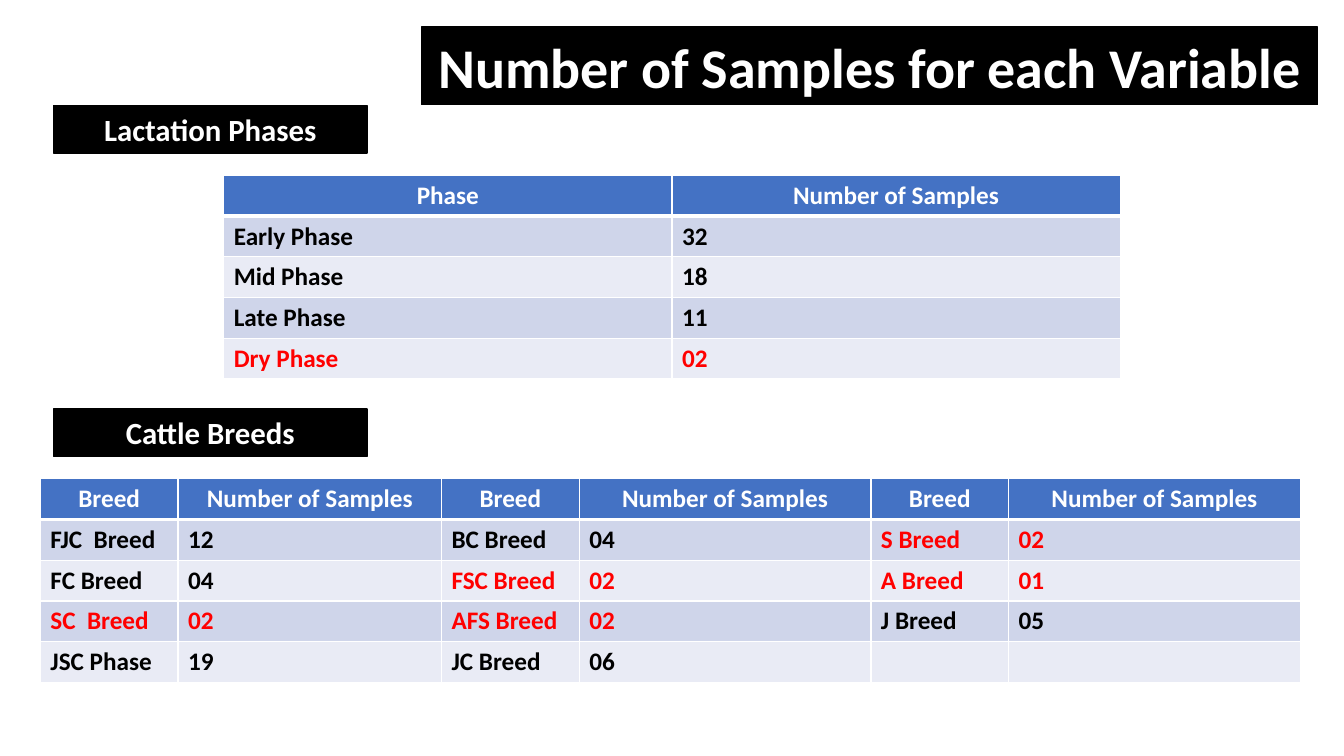
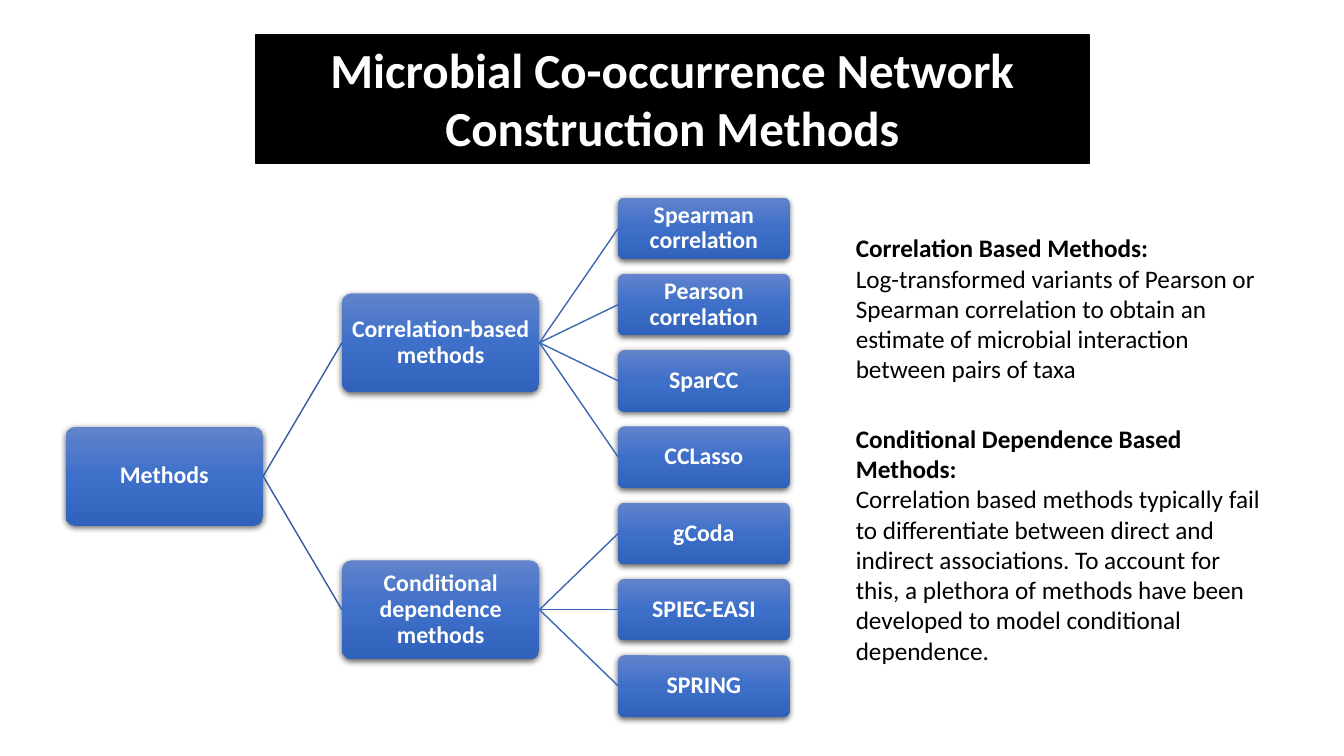
import copy

import lxml.etree
import pptx
import pptx.dml.color
import pptx.enum.shapes
import pptx.enum.text
import pptx.oxml.ns
import pptx.util

SLIDE_WIDTH = pptx.util.Inches(13.33)
SLIDE_HEIGHT = pptx.util.Inches(7.5)
FONT = "Calibri"
BLACK, WHITE, RED = "000000", "FFFFFF", "FF0000"
HEADER_FILL = "4472C4"
BAND_FILLS = ("CFD5EA", "E9EBF5")
NODE_GRADIENT = ("6183CB", "3E70CA", "3062BB")
CENTER = pptx.enum.text.PP_ALIGN.CENTER
MIDDLE = pptx.enum.text.MSO_ANCHOR.MIDDLE

# Tables, as percentages of the slide
ROW_HEIGHT = 5.39
FEW_SAMPLES = 3
PHASES = [("Early Phase", "32"), ("Mid Phase", "18"), ("Late Phase", "11"), ("Dry Phase", "02")]
BREED_TABLES = [
    ((10.25, 19.6), [("FJC  Breed", "12"), ("FC Breed", "04"), ("SC  Breed", "02"), ("JSC Phase", "19")]),
    ((10.25, 21.7), [("BC Breed", "04"), ("FSC Breed", "02"), ("AFS Breed", "02"), ("JC Breed", "06")]),
    ((10.25, 21.7), [("S Breed", "02"), ("A Breed", "01"), ("J Breed", "05"), ("", "")]),
]

# Tree, as percentages of the slide
TREE_LEFT, LEVEL_STEP = 4.88, 20.56
FIRST_LEAF_CENTER, LEAF_STEP = 30.2, 10.09
BRANCH_SIZE, LEAF_SIZE = (14.7, 13.07), (12.75, 8.13)
LINK_COLORS = ("365B9D", "3E67B2")
METHODS = {
    "Correlation-based methods": ["Spearman correlation", "Pearson correlation", "SparCC", "CCLasso"],
    "Conditional dependence methods": ["gCoda", "SPIEC-EASI", "SPRING"],
}

PROSE = [
    (30.13, 21.6, "Correlation Based Methods:",
     "Log-transformed variants of Pearson or Spearman correlation to obtain an estimate of "
     "microbial interaction between pairs of taxa"),
    (55.33, 33.6, "Conditional Dependence Based Methods:",
     "Correlation based methods typically fail to differentiate between direct and indirect "
     "associations. To account for this, a plethora of methods have been developed to model "
     "conditional dependence."),
]


def rgb(value):
    return pptx.dml.color.RGBColor.from_string(value)


def across(percent):
    return round(SLIDE_WIDTH * percent / 100)


def down(percent):
    return round(SLIDE_HEIGHT * percent / 100)


def area(left, top, width, height):
    return across(left), down(top), across(width), down(height)


def mean_of_ends(values):
    return (values[0] + values[-1]) / 2


def add_element(parent, tag, **attributes):
    return lxml.etree.SubElement(parent, pptx.oxml.ns.qn(tag), **attributes)


def format_para(para, size, color, bold=True, align=None):
    para.alignment = align
    for span in para.runs:
        span.font.name = FONT
        span.font.size = pptx.util.Pt(size)
        span.font.bold = bold
        span.font.color.rgb = rgb(color)


def add_box(page, place):
    box = page.shapes.add_textbox(*area(*place))
    box.text_frame.word_wrap = True
    box.text_frame.auto_size = pptx.enum.text.MSO_AUTO_SIZE.SHAPE_TO_FIT_TEXT
    return box


def add_banner(page, text, size, place):
    """White bold text on a black band."""
    box = add_box(page, place)
    box.fill.solid()
    box.fill.fore_color.rgb = rgb(BLACK)
    box.line.color.rgb = rgb(BLACK)
    box.line.width = pptx.util.Pt(1)
    box.text_frame.text = text
    format_para(box.text_frame.paragraphs[0], size, WHITE, align=CENTER)


def add_prose(page, top, height, heading, body):
    frame = add_box(page, (62.94, top, 31.81, height)).text_frame
    frame.text = heading
    format_para(frame.paragraphs[0], 18, BLACK)
    para = frame.add_paragraph()
    para.text = body
    format_para(para, 18, BLACK, bold=False)


def add_borders(cell, bottom_width):
    properties = cell._tc.get_or_add_tcPr()
    for side, width in (("L", 1), ("R", 1), ("T", 1), ("B", bottom_width)):
        line = add_element(properties, "a:ln" + side, w=str(pptx.util.Pt(width)))
        add_element(add_element(line, "a:solidFill"), "a:srgbClr", val=WHITE)


def add_sample_table(page, left, top, widths, subject, samples):
    """Table of sample counts; rows with few samples are red."""
    rows = [(subject, "Number of Samples")] + samples
    place = area(left, top, sum(widths), ROW_HEIGHT * len(rows))
    table = page.shapes.add_table(len(rows), len(widths), *place).table
    for column, width in zip(table.columns, widths):
        column.width = across(width)
    for index, row in enumerate(rows):
        table.rows[index].height = down(ROW_HEIGHT)
        header = index == 0
        if header:
            fill, color = HEADER_FILL, WHITE
        else:
            fill = BAND_FILLS[(index - 1) % 2]
            color = RED if row[1] and int(row[1]) < FEW_SAMPLES else BLACK
        for cell, text in zip(table.rows[index].cells, row):
            add_borders(cell, 3 if header else 1)
            cell.fill.solid()
            cell.fill.fore_color.rgb = rgb(fill)
            cell.text_frame.text = text
            format_para(cell.text_frame.paragraphs[0], 18, color, align=CENTER if header else None)


def fill_gradient(shape, colors):
    """Fill from top to bottom with three evenly spaced colours."""
    shape.fill.gradient()
    shape.fill.gradient_angle = 270
    stop_list = shape._element.spPr.find(".//" + pptx.oxml.ns.qn("a:gsLst"))
    stop_list.insert(1, copy.deepcopy(stop_list[0]))
    for index, (stop, color) in enumerate(zip(shape.fill.gradient_stops, colors)):
        stop.position = index / 2
        stop.color.rgb = rgb(color)


def add_shadow(shape):
    shape.shadow.inherit = False
    effects = shape._element.spPr.find(pptx.oxml.ns.qn("a:effectLst"))
    shadow = add_element(effects, "a:outerShdw", blurRad=str(pptx.util.Pt(4.5)),
                         dist=str(pptx.util.Pt(1.5)), dir="5400000", algn="ctr", rotWithShape="0")
    add_element(add_element(shadow, "a:srgbClr", val=BLACK), "a:alpha", val="63000")


def add_node(page, text, level, center, size):
    width, height = size
    place = area(TREE_LEFT + level * LEVEL_STEP, center - height / 2, width, height)
    node = page.shapes.add_shape(pptx.enum.shapes.MSO_SHAPE.ROUNDED_RECTANGLE, *place)
    node.adjustments[0] = 0.1
    fill_gradient(node, NODE_GRADIENT)
    node.line.fill.background()
    add_shadow(node)
    frame = node.text_frame
    frame.word_wrap = True
    frame.vertical_anchor = MIDDLE
    inset = pptx.util.Inches(0.01)
    frame.margin_left = frame.margin_right = frame.margin_top = frame.margin_bottom = inset
    frame.text = text
    frame.paragraphs[0].line_spacing = 0.9
    format_para(frame.paragraphs[0], 17, WHITE, align=CENTER)
    return node


def add_link(page, parent, child, color):
    link = page.shapes.add_connector(pptx.enum.shapes.MSO_CONNECTOR.STRAIGHT, 0, 0, 0, 0)
    link.begin_connect(parent, 3)
    link.end_connect(child, 1)
    link.line.color.rgb = rgb(color)
    link.line.width = pptx.util.Pt(1)
    add_element(link._element.spPr, "a:effectLst")


def add_method_tree(page):
    """Each parent is centred on its first and last child."""
    branches, branch_centers = [], []
    leaf_count = 0
    for name, leaves in METHODS.items():
        centers = [FIRST_LEAF_CENTER + (leaf_count + i) * LEAF_STEP for i in range(len(leaves))]
        leaf_count += len(leaves)
        branch_centers.append(mean_of_ends(centers))
        branch = add_node(page, name, 1, branch_centers[-1], BRANCH_SIZE)
        branches.append(branch)
        for leaf, center in zip(leaves, centers):
            add_link(page, branch, add_node(page, leaf, 2, center, LEAF_SIZE), LINK_COLORS[1])
    root = add_node(page, "Methods", 0, mean_of_ends(branch_centers), BRANCH_SIZE)
    for branch in branches:
        add_link(page, root, branch, LINK_COLORS[0])


def add_samples_slide(page):
    add_banner(page, "Number of Samples for each Variable", 40, (31.36, 3.6, 66.69, 10.27))
    for text, top in (("Lactation Phases", 14), ("Cattle Breeds", 54.13)):
        add_banner(page, text, 22, (3.98, top, 23.33, 6.27))
    add_sample_table(page, 16.65, 23.2, (33.35, 33.35), "Phase", PHASES)
    left = 3
    for widths, samples in BREED_TABLES:
        add_sample_table(page, left, 63.33, widths, "Breed", samples)
        left += sum(widths)


def add_methods_slide(page):
    add_banner(page, "Microbial Co-occurrence Network Construction Methods", 35,
               (19.06, 4.53, 61.97, 17.07))
    add_method_tree(page)
    for passage in PROSE:
        add_prose(page, *passage)


def main():
    deck = pptx.Presentation()
    deck.slide_width, deck.slide_height = SLIDE_WIDTH, SLIDE_HEIGHT
    for build in (add_samples_slide, add_methods_slide):
        build(deck.slides.add_slide(deck.slide_layouts[6]))
    deck.save("out.pptx")


if __name__ == "__main__":
    main()
